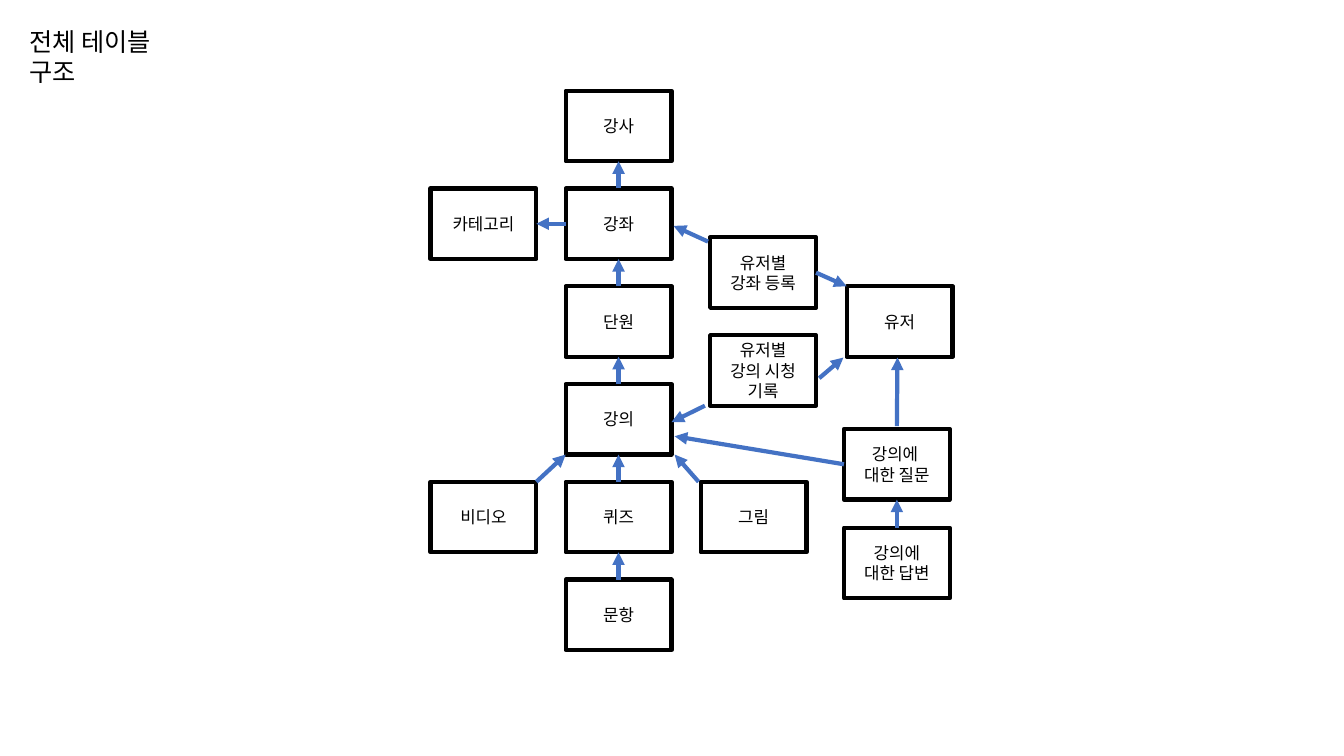
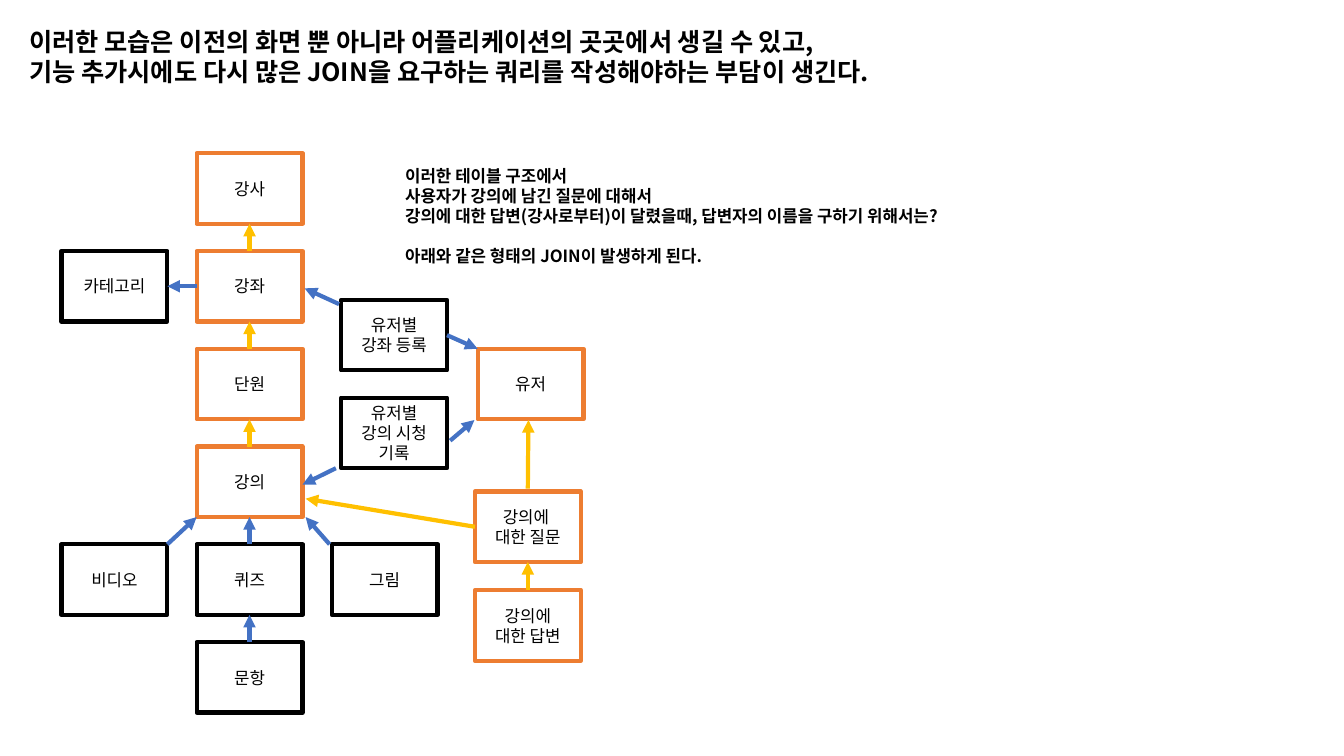
import pptx
import pptx.util
import pptx.dml.color
import pptx.enum.shapes
import pptx.enum.text
import pptx.oxml
import pptx.oxml.ns

Inches = pptx.util.Inches
Pt = pptx.util.Pt
COLORS = {
    "text": "000000",
    "table": "000000",
    "joined table": "ED7D31",
    "link": "4472C4",
    "joined link": "FFC000",
}
COLORS = {role: pptx.dml.color.RGBColor.from_string(code) for role, code in COLORS.items()}
LINE_SPACING = 1.2
LINK_WIDTH = Pt(3)
COLUMN, ROW = 1.34, 0.97
TABLE_WIDTH, TABLE_HEIGHT = 1.05, 0.7
SIDES = {(0.5, 0): 0, (0, 0.5): 1, (0.5, 1): 2, (1, 0.5): 3}

TABLES = {
    "강사": (1, 0, ["강사"]),
    "강좌": (1, 1, ["강좌"]),
    "단원": (1, 2, ["단원"]),
    "강의": (1, 3, ["강의"]),
    "퀴즈": (1, 4, ["퀴즈"]),
    "문항": (1, 5, ["문항"]),
    "카테고리": (0, 1, ["카테고리"]),
    "비디오": (0, 4, ["비디오"]),
    "그림": (2, 4, ["그림"]),
    "유저": (3.08, 2, ["유저"]),
    "등록": (2.07, 1.5, ["유저별", "강좌 등록"]),
    "시청": (2.07, 2.5, ["유저별", "강의 시청 기록"]),
    "질문": (3.06, 3.46, ["강의에 ", "대한 질문"]),
    "답변": (3.06, 4.47, ["강의에", "대한 답변"]),
}
UPWARD = [("문항", "퀴즈"), ("퀴즈", "강의"), ("강의", "단원"), ("단원", "강좌"),
          ("강좌", "강사"), ("답변", "질문")]
LINKS = [(lower, (0.5, 0), upper, (0.5, 1)) for lower, upper in UPWARD] + [
    ("강좌", (0, 0.5), "카테고리", (1, 0.5)),
    ("비디오", (1, 0), "강의", (0, 1)),
    ("그림", (-0.02, 0), "강의", (1.03, 1)),
    ("등록", (1, 0.5), "유저", (0, 0)),
    ("등록", (-0.02, 0.06), "강좌", (1.02, 0.53)),
    ("시청", (1.03, 0.61), "유저", (-0.03, 1.01)),
    ("시청", (-0.05, 1), "강의", (1, 0.54)),
    ("질문", (0, 0.5), "강의", (1.03, 0.74)),
    ("질문", (0.5, -0.04), "유저", (0.48, 1.01)),
]

SLIDES = [
    {
        "title": ["전체 테이블 구조"],
        "title width": 1.7,
        "font": "Calibri",
        "bold": False,
        "origin": (4.27, 0.9),
        "joined": set(),
        "question": [],
    },
    {
        "title": [
            "이러한 모습은 이전의 화면 뿐 아니라 어플리케이션의 곳곳에서 생길 수 있고,",
            "기능 추가시에도 다시 많은 JOIN을 요구하는 쿼리를 작성해야하는 부담이 생긴다.",
        ],
        "title width": 9.65,
        "font": "Noto Sans CJK KR",
        "bold": True,
        "origin": (0.61, 1.52),
        "joined": {"강사", "강좌", "단원", "강의", "유저", "질문", "답변"},
        "question": [
            "이러한 테이블 구조에서",
            "사용자가 강의에 남긴 질문에 대해서",
            "강의에 대한 답변(강사로부터)이 달렸을때, 답변자의 이름을 구하기 위해서는?",
            "아래와 같은 형태의 JOIN이 발생하게 된다.",
        ],
    },
]


def write_lines(frame, lines, size, font, bold, align, anchor):
    frame.word_wrap = True
    frame.auto_size = pptx.enum.text.MSO_AUTO_SIZE.NONE
    frame.vertical_anchor = anchor
    for number, line in enumerate(lines):
        paragraph = frame.add_paragraph() if number else frame.paragraphs[0]
        paragraph.alignment = align
        paragraph.line_spacing = Pt(size * LINE_SPACING)
        run = paragraph.add_run()
        run.text = line
        run.font.size = Pt(size)
        run.font.name = font
        run.font.bold = bold
        run.font.color.rgb = COLORS["text"]
        east_asian = pptx.oxml.parse_xml(
            f'<a:ea {pptx.oxml.ns.nsdecls("a")} typeface="{font}"/>')
        run.font._element.find(pptx.oxml.ns.qn("a:latin")).addnext(east_asian)


def point_on(table, share):
    return (int(table.left + table.width * share[0]),
            int(table.top + table.height * share[1]))


LEFT = pptx.enum.text.PP_ALIGN.LEFT
CENTER = pptx.enum.text.PP_ALIGN.CENTER
TOP = pptx.enum.text.MSO_ANCHOR.TOP
MIDDLE = pptx.enum.text.MSO_ANCHOR.MIDDLE

deck = pptx.Presentation()
deck.slide_width = Inches(13.33)
deck.slide_height = Inches(7.5)

for content in SLIDES:
    slide = deck.slides.add_slide(deck.slide_layouts[5])
    font, joined = content["font"], content["joined"]

    heading = slide.shapes.title
    heading.left, heading.top = Inches(0.19), Inches(0.21)
    heading.width, heading.height = Inches(content["title width"]), Inches(0.8)
    write_lines(heading.text_frame, content["title"], 18, font, content["bold"], LEFT, TOP)

    if content["question"]:
        question = slide.shapes.add_textbox(
            Inches(3.92), Inches(1.59), Inches(6.67), Inches(1.11)).text_frame
        write_lines(question, content["question"], 12, font, True, LEFT, TOP)
        question.paragraphs[-1].space_before = Pt(12 * LINE_SPACING)

    origin_x, origin_y = content["origin"]
    tables = {}
    for key, (column, row, label) in TABLES.items():
        table = slide.shapes.add_shape(
            pptx.enum.shapes.MSO_SHAPE.RECTANGLE,
            Inches(origin_x + column * COLUMN), Inches(origin_y + row * ROW),
            Inches(TABLE_WIDTH), Inches(TABLE_HEIGHT))
        table.shadow.inherit = False
        table.fill.background()
        table.line.color.rgb = COLORS["joined table" if key in joined else "table"]
        table.line.width = LINK_WIDTH
        write_lines(table.text_frame, label, 12, font, False, CENTER, MIDDLE)
        tables[key] = table

    for source, source_share, target, target_share in LINKS:
        link = slide.shapes.add_connector(
            pptx.enum.shapes.MSO_CONNECTOR.STRAIGHT,
            *point_on(tables[source], source_share),
            *point_on(tables[target], target_share))
        if source_share in SIDES:
            link.begin_connect(tables[source], SIDES[source_share])
        if target_share in SIDES:
            link.end_connect(tables[target], SIDES[target_share])
        link.line.color.rgb = COLORS["joined link" if {source, target} <= joined else "link"]
        link.line.width = LINK_WIDTH
        link.line._get_or_add_ln().append(pptx.oxml.parse_xml(
            f'<a:tailEnd {pptx.oxml.ns.nsdecls("a")} type="triangle"/>'))
        link._element.spPr.append(pptx.oxml.parse_xml(
            f'<a:effectLst {pptx.oxml.ns.nsdecls("a")}/>'))

deck.save("out.pptx")
